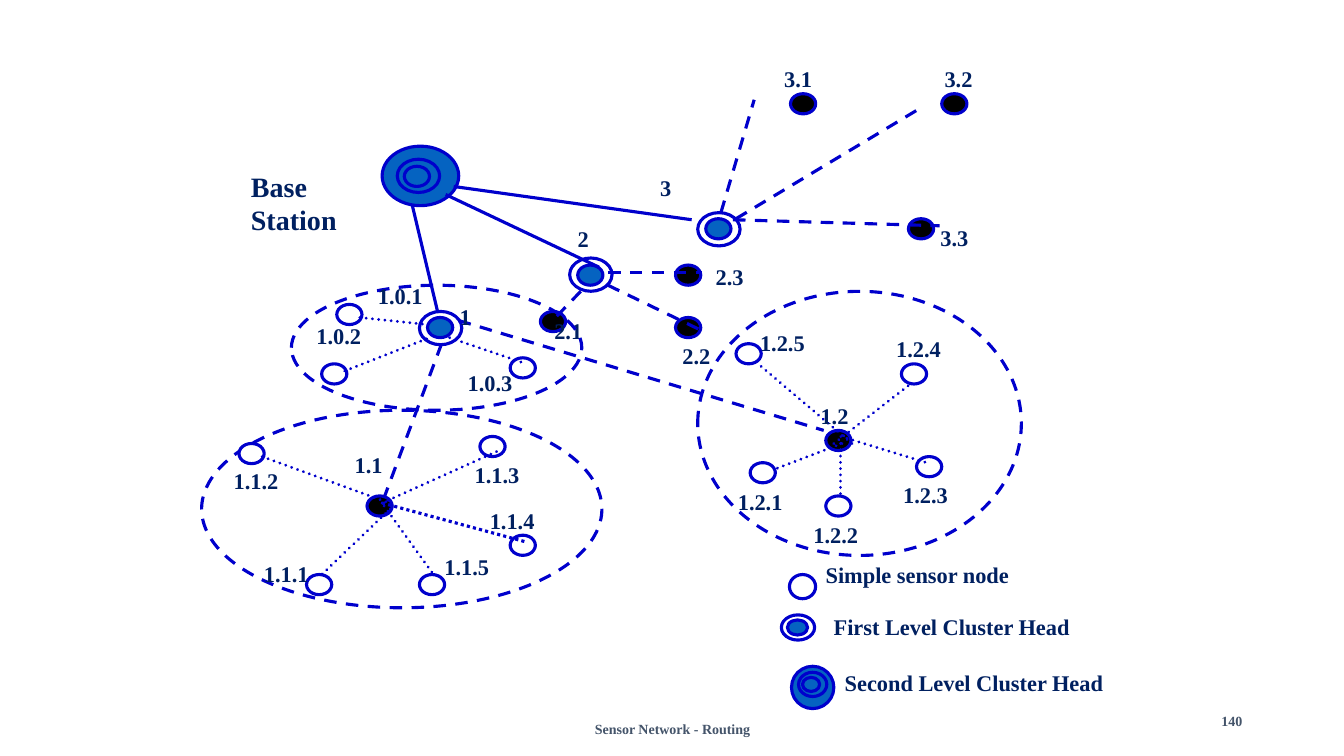
from dataclasses import dataclass
from typing import Any, NamedTuple

from lxml.etree import SubElement
from pptx import Presentation
from pptx.dml.color import RGBColor
from pptx.enum.dml import MSO_LINE
from pptx.enum.shapes import MSO_CONNECTOR, MSO_SHAPE
from pptx.enum.text import MSO_ANCHOR, MSO_AUTO_SIZE, PP_ALIGN
from pptx.oxml.ns import qn
from pptx.util import Emu, Pt

PX = 9144


@dataclass(frozen=True)
class Theme:
    font: str = "Times New Roman"
    label: str = "002060"
    footer: str = "44546A"
    outline: str = "0000CC"
    head: str = "0563C1"
    relay: str = "000000"
    sensor: str = "FFFFFF"
    line_pt: float = 2.25
    title_pt: int = 20
    label_pt: int = 16
    footer_pt: int = 10


T = Theme()


class Oval(NamedTuple):
    x: int
    y: int
    fill: str | None = T.sensor
    w: int = 25
    h: int = 20
    dash: Any = None


class Link(NamedTuple):
    x1: int
    y1: int
    x2: int
    y2: int
    dash: Any = MSO_LINE.ROUND_DOT
    round_cap: bool = True


class Label(NamedTuple):
    text: str
    x: int
    y: int
    w: int = 76
    h: int = 37
    size: int = T.label_pt


class Part(NamedTuple):
    ovals: list[Oval]
    links: list[Link]
    labels: list[Label]


def px(n: int) -> Emu:
    return Emu(n * PX)


def ring(x: int, y: int, w: int = 42, h: int = 33) -> Oval:
    return Oval(x, y, None, w, h)


def area(x: int, y: int, w: int, h: int) -> Oval:
    return Oval(x, y, None, w, h, MSO_LINE.DASH)


def solid(x1: int, y1: int, x2: int, y2: int) -> Link:
    return Link(x1, y1, x2, y2, None, False)


def dashed(x1: int, y1: int, x2: int, y2: int) -> Link:
    return Link(x1, y1, x2, y2, MSO_LINE.DASH, False)


def style_line(line: Any, dash: Any) -> None:
    line.color.rgb = RGBColor.from_string(T.outline)
    line.width = Pt(T.line_pt)
    if dash is not None:
        line.dash_style = dash


def draw_oval(shapes: Any, o: Oval) -> None:
    sp = shapes.add_shape(MSO_SHAPE.OVAL, px(o.x), px(o.y), px(o.w), px(o.h))
    sp.shadow.inherit = False
    if o.fill is None:
        sp.fill.background()
    else:
        sp.fill.solid()
        sp.fill.fore_color.rgb = RGBColor.from_string(o.fill)
    style_line(sp.line, o.dash)


def draw_link(shapes: Any, k: Link) -> None:
    c = shapes.add_connector(MSO_CONNECTOR.STRAIGHT, px(k.x1), px(k.y1), px(k.x2), px(k.y2))
    style_line(c.line, k.dash)
    if k.round_cap:
        c.line._get_or_add_ln().set("cap", "rnd")
    SubElement(c._element.spPr, qn("a:effectLst"))


def add_text(shapes: Any, text: str, *, x: int, y: int, w: int, h: int, size: int,
             color: str = T.label, align: Any = PP_ALIGN.LEFT,
             anchor: Any = MSO_ANCHOR.TOP, fit: Any = MSO_AUTO_SIZE.SHAPE_TO_FIT_TEXT) -> None:
    tf = shapes.add_textbox(px(x), px(y), px(w), px(h)).text_frame
    tf.word_wrap = True
    tf.auto_size = fit
    tf.vertical_anchor = anchor
    p = tf.paragraphs[0]
    p.alignment = align
    r = p.add_run()
    r.text = text
    r.font.name = T.font
    r.font.size = Pt(size)
    r.font.bold = True
    r.font.color.rgb = RGBColor.from_string(color)


def draw_part(shapes: Any, part: Part) -> None:
    for o in part.ovals:
        draw_oval(shapes, o)
    for k in part.links:
        draw_link(shapes, k)
    for t in part.labels:
        add_text(shapes, t.text, x=t.x, y=t.y, w=t.w, h=t.h, size=t.size)


BACKBONE = Part(
    [Oval(379, 145, T.head, 76, 59), Oval(401, 165, T.head), ring(394, 158),
     Oval(700, 217, T.head), ring(692, 211), Oval(573, 263, T.head), ring(565, 256),
     *(Oval(x, y, T.relay) for x, y in
       [(784, 93), (934, 93), (901, 217), (670, 263), (536, 309), (670, 315)])],
    [solid(450, 185, 686, 218), solid(442, 193, 594, 265), solid(409, 204, 434, 309),
     dashed(576, 289, 551, 315), dashed(603, 283, 696, 328), dashed(603, 270, 696, 270),
     dashed(727, 218, 932, 224), dashed(715, 211, 748, 99), dashed(730, 217, 915, 106),
     dashed(438, 341, 379, 499), dashed(455, 318, 817, 427)],
    [Label("Base Station", 239, 163, 131, 77, T.title_pt),
     Label("3", 645, 168), Label("3.1", 768, 60), Label("3.2", 927, 60),
     Label("3.3", 923, 217), Label("2", 563, 218), Label("2.1", 540, 310),
     Label("2.2", 667, 335), Label("2.3", 700, 256)])

AREAS = Part([area(200, 407, 397, 196), area(289, 283, 288, 124),
              area(692, 289, 321, 262)], [], [])

CLUSTERS = [
    Part([Oval(424, 315, T.head), Oval(334, 302), Oval(319, 361), Oval(506, 355), ring(416, 309)],
         [Link(357, 315, 424, 322), Link(342, 368, 426, 335), Link(446, 335, 522, 361)],
         [Label("1", 446, 296), Label("1.0.1", 365, 275), Label("1.0.2", 304, 315),
          Label("1.0.3", 454, 361)]),
    Part([Oval(819, 427, T.relay), Oval(894, 361), Oval(730, 341), Oval(744, 459),
          Oval(819, 492), Oval(909, 453)],
         [Link(845, 440, 752, 361), Link(835, 440, 767, 466), Link(834, 440, 834, 492),
          Link(834, 433, 919, 459), Link(827, 440, 903, 381)],
         [Label("1.2", 804, 394), Label("1.2.1", 722, 479), Label("1.2.2", 797, 512),
          Label("1.2.3", 886, 472), Label("1.2.4", 879, 328), Label("1.2.5", 744, 322)]),
    Part([Oval(364, 492, T.relay), Oval(476, 433), Oval(237, 440), Oval(506, 531),
          Oval(416, 570), Oval(304, 570)],
         [Link(387, 505, 319, 570), Link(381, 502, 430, 570),
          Link(379, 499, 523, 538, round_cap=False),
          Link(260, 453, 386, 499), Link(379, 499, 497, 446)],
         [Label("1.1", 342, 443), Label("1.1.1", 252, 551), Label("1.1.2", 222, 459),
          Label("1.1.3", 461, 453), Label("1.1.4", 476, 498), Label("1.1.5", 431, 544)]),
]

LEGEND = [
    Part([Oval(783, 570, T.sensor, 26, 24)], [], [Label("Simple sensor node", 809, 552, 328)]),
    Part([Oval(781, 615, T.head, 20, 15), ring(775, 610, 33, 25)], [],
         [Label("First Level Cluster Head", 817, 603, 324)]),
    Part([Oval(785, 661, T.head, 42, 42), Oval(796, 672, T.head, 17, 14),
          ring(792, 667, 28, 24)], [],
         [Label("Second Level Cluster Head", 828, 659, 390)]),
]


def main() -> None:
    prs = Presentation()
    prs.slide_width, prs.slide_height = px(1333), px(750)
    s = prs.slides.add_slide(prs.slide_layouts[6])
    draw_part(s.shapes, BACKBONE)
    draw_part(s.shapes, AREAS)
    for part in CLUSTERS + LEGEND:
        draw_part(s.shapes.add_group_shape().shapes, part)
    for text, x, y, w, align in [("Sensor Network - Routing", 442, 703, 450, PP_ALIGN.CENTER),
                                 ("140", 942, 695, 300, PP_ALIGN.RIGHT)]:
        add_text(s.shapes, text, x=x, y=y, w=w, h=40, size=T.footer_pt, color=T.footer,
                 align=align, anchor=MSO_ANCHOR.MIDDLE, fit=MSO_AUTO_SIZE.NONE)
    prs.save("out.pptx")


if __name__ == "__main__":
    main()
